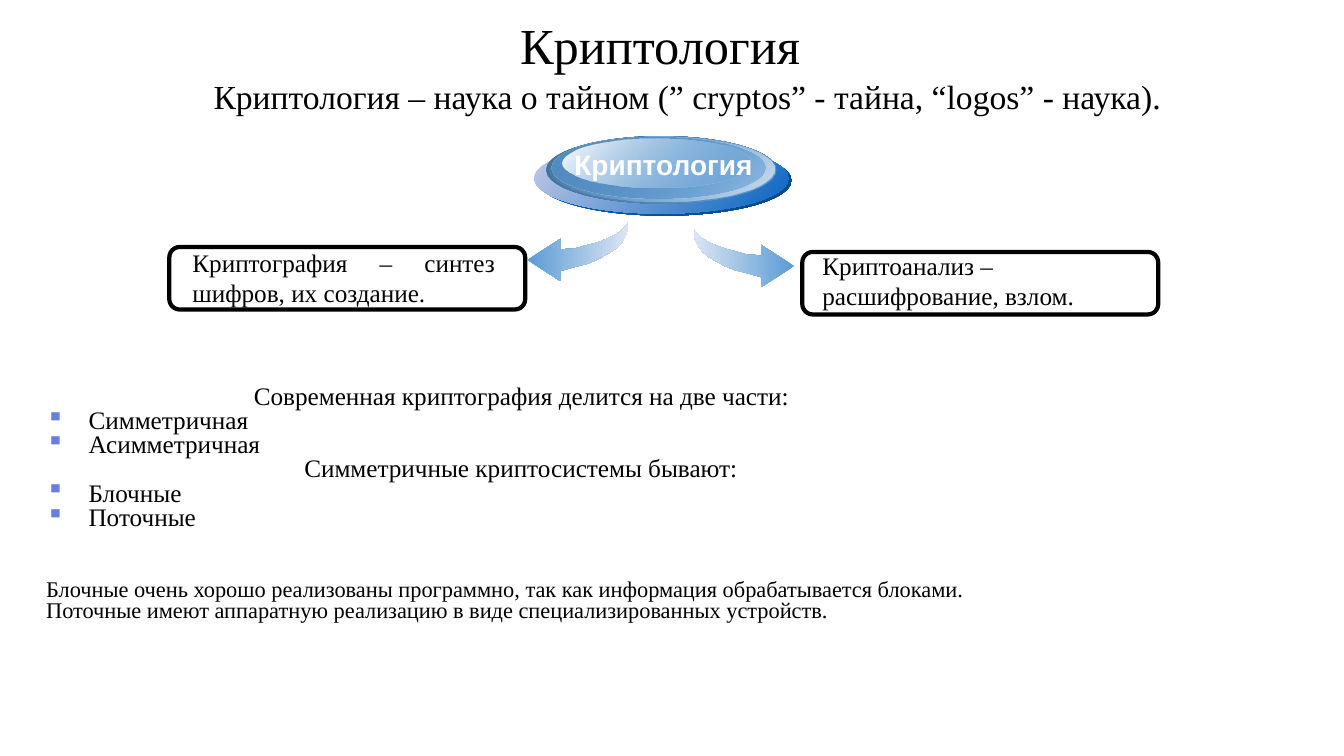
import dataclasses
import typing

import lxml.etree
import pptx
import pptx.dml.color
import pptx.enum.shapes
import pptx.enum.text
import pptx.oxml.ns
import pptx.util

RGB = pptx.dml.color.RGBColor
ALIGN = pptx.enum.text.PP_ALIGN
ANCHOR = pptx.enum.text.MSO_ANCHOR
FORM = pptx.enum.shapes.MSO_SHAPE

BLACK = RGB(0x00, 0x00, 0x00)
WHITE = RGB(0xFF, 0xFF, 0xFF)
BLUE = RGB(0x5B, 0x9B, 0xD5)
PALE = RGB(0xDC, 0xE5, 0xF3)
MIST = RGB(0xD8, 0xE3, 0xF1)
LILAC = RGB(0xC6, 0xCD, 0xE6)
ROYAL = RGB(0x05, 0x63, 0xC1)
NAVY = RGB(0x04, 0x48, 0x8D)
STEEL = RGB(0x41, 0x6F, 0x98)
AZURE = RGB(0x52, 0x8C, 0xC0)
BULLET = RGB(0x67, 0x7E, 0xDF)

WIDE = pptx.util.Inches(13.33)
HIGH = pptx.util.Inches(7.5)
UNIT = WIDE * 0.075 / 100  # step of the arrow outline

# Outline of an arrow, measured in units from its tip side
ARROW = [
    (100, 0), (100, 7), (98, 13), (95, 19), (91, 24), (85, 29), (78, 33),
    (69, 38), (59, 42), (47, 45), (33, 49), (33, 59), (0, 38), (33, 17),
    (33, 28), (39, 27), (46, 27), (53, 25), (60, 23), (68, 21), (74, 19),
    (81, 16), (87, 13), (92, 10), (96, 6), (99, 3),
]


@dataclasses.dataclass(frozen=True)
class Area:
    """A frame in percent of the slide's width and height."""
    left: float
    top: float
    wide: float
    high: float

    def box(self) -> tuple[int, int, int, int]:
        return (int(WIDE * self.left / 100), int(HIGH * self.top / 100),
                int(WIDE * self.wide / 100), int(HIGH * self.high / 100))


@dataclasses.dataclass(frozen=True)
class Layer:
    """One ellipse of the button; alphas are percentages."""
    area: Area
    start: RGB
    end: RGB
    alphas: tuple[int, int] = (100, 100)


@dataclasses.dataclass(frozen=True)
class Branch:
    """A card, its text, and the arrow that points to it."""
    text: str
    card: Area
    note: Area
    align: typing.Any
    tip: tuple[float, float]
    turn: int


LAYERS = [
    Layer(Area(39.98, 19.2, 18.9, 9.33), ROYAL, NAVY),
    Layer(Area(39.75, 18.93, 18.9, 9.33), LILAC, ROYAL),
    Layer(Area(40.65, 18, 17.1, 8.93), STEEL, BLUE),
    Layer(Area(40.88, 18, 16.73, 8.67), BLUE, MIST, (0, 100)),
    Layer(Area(41.03, 18.13, 15.9, 8.13), AZURE, BLUE, (100, 48)),
    Layer(Area(41.85, 18.27, 14.03, 6.53), WHITE, BLUE, (100, 38)),
]

BRANCHES = [
    Branch("Криптография – синтез шифров, их создание.",
           Area(12.6, 32.67, 26.48, 8.27), Area(13.58, 32, 24, 9.33),
           ALIGN.JUSTIFY, (39.23, 29.33), 1),
    Branch("Криптоанализ – расшифрование, взлом.",
           Area(59.7, 33.33, 26.48, 8.27), Area(60.45, 32.4, 24.6, 12.4),
           ALIGN.LEFT, (59.1, 30.13), -1),
]

ITEM = {"inset": 3.15, "bullet": "▪"}
BODY = [
    ("Современная криптография делится на две части:", {"inset": 15.45}),
    ("Симметричная", ITEM),
    ("Асимметричная", ITEM),
    ("Симметричные криптосистемы бывают:", {"inset": 19.2}),
    ("Блочные", ITEM),
    ("Поточные", ITEM),
    ("Блочные очень хорошо реализованы программно, так как информация "
     "обрабатывается блоками.", {"size": 16, "before": 35}),
    ("Поточные имеют аппаратную реализацию в виде специализированных "
     "устройств.", {"size": 16}),
]


def write(frame, text: str, *, size: float = 18, color: RGB = BLACK,
          font: str = "Times New Roman", bold: bool = False,
          align=ALIGN.LEFT, pitch: float = 1, before: float = 0,
          inset: float = 0, bullet: str = "") -> None:
    """Add a paragraph; inset is a percentage of the slide's width."""
    line = frame.paragraphs[0] if not frame.text else frame.add_paragraph()
    line.alignment = align
    line.line_spacing = pitch
    line.space_before = pptx.util.Pt(before)
    props = line._p.get_or_add_pPr()
    left = int(WIDE * inset / 100)
    props.set("marL", str(left))
    props.set("indent", str(-left if bullet else 0))
    if bullet:
        tint = lxml.etree.SubElement(props, pptx.oxml.ns.qn("a:buClr"))
        lxml.etree.SubElement(
            tint, pptx.oxml.ns.qn("a:srgbClr"), val=str(BULLET))
        lxml.etree.SubElement(
            props, pptx.oxml.ns.qn("a:buChar"), char=bullet)
    run = line.add_run()
    run.text = text
    run.font.size = pptx.util.Pt(size)
    run.font.name = font
    run.font.bold = bold
    run.font.color.rgb = color


def add_frame(slide, area: Area, wrap: bool = True):
    frame = slide.shapes.add_textbox(*area.box()).text_frame
    frame.word_wrap = wrap
    return frame


def blend(shape, start: RGB, end: RGB, angle: float,
          alphas: tuple[int, int] = (100, 100)) -> None:
    """Give the shape a two-colour gradient without outline or shadow."""
    shape.shadow.inherit = False
    shape.line.fill.background()
    shape.fill.gradient()
    shape.fill.gradient_angle = angle
    for stop, color in zip(shape.fill.gradient_stops, (start, end)):
        stop.color.rgb = color
    tints = shape._element.spPr.findall(".//" + pptx.oxml.ns.qn("a:gs"))
    for tint, alpha in zip(tints, alphas):
        if alpha < 100:
            lxml.etree.SubElement(
                tint[0], pptx.oxml.ns.qn("a:alpha"), val=str(alpha * 1000))


def add_button(slide) -> None:
    for layer in LAYERS:
        disc = slide.shapes.add_shape(FORM.OVAL, *layer.area.box())
        blend(disc, layer.start, layer.end, 315, layer.alphas)
    label = add_frame(slide, Area(42, 18.8, 16.73, 5.73))
    write(label, "Криптология", size=20, font="Arial", bold=True, color=WHITE)


def add_branch(slide, branch: Branch) -> None:
    card = slide.shapes.add_shape(FORM.ROUNDED_RECTANGLE, *branch.card.box())
    card.shadow.inherit = False
    card.fill.background()
    card.line.color.rgb = BLACK
    card.line.width = pptx.util.Pt(3)
    write(add_frame(slide, branch.note), branch.text, align=branch.align)

    left, top = WIDE * branch.tip[0] / 100, HIGH * branch.tip[1] / 100
    dots = [(int(left + branch.turn * x * UNIT), int(top + y * UNIT))
            for x, y in ARROW]
    path = slide.shapes.build_freeform(*dots[0])
    path.add_line_segments(dots[1:], close=True)
    blend(path.convert_to_shape(), BLUE, PALE, 0 if branch.turn > 0 else 180)


def main() -> None:
    deck = pptx.Presentation()
    deck.slide_width, deck.slide_height = WIDE, HIGH
    slide = deck.slides.add_slide(deck.slide_layouts[5])

    title = slide.shapes.title
    title.left, title.top, title.width, title.height = Area(
        37.95, 2.27, 60.6, 8.27).box()
    title.text_frame.vertical_anchor = ANCHOR.MIDDLE
    write(title.text_frame, "Криптология", size=36, pitch=0.9)

    motto = add_frame(slide, Area(15.15, 10.4, 72.98, 5.6), wrap=False)
    write(motto, "Криптология – наука о тайном (” cryptos” - тайна, "
          "“logos” - наука).", size=24, pitch=0.8)

    add_button(slide)
    for branch in BRANCHES:
        add_branch(slide, branch)

    body = add_frame(slide, Area(2.7, 50.4, 94.65, 40))
    for text, style in BODY:
        write(body, text, align=ALIGN.JUSTIFY, pitch=0.8, **style)

    deck.save("out.pptx")


if __name__ == "__main__":
    main()
